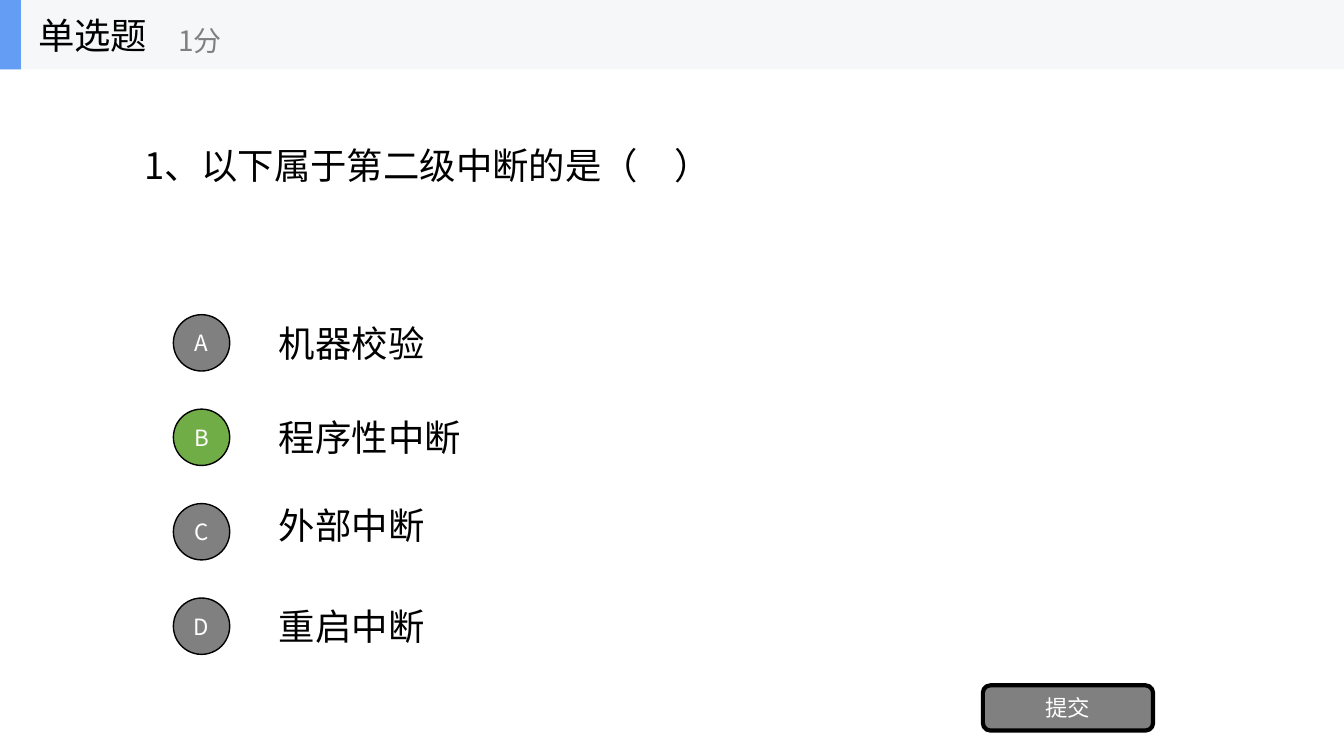
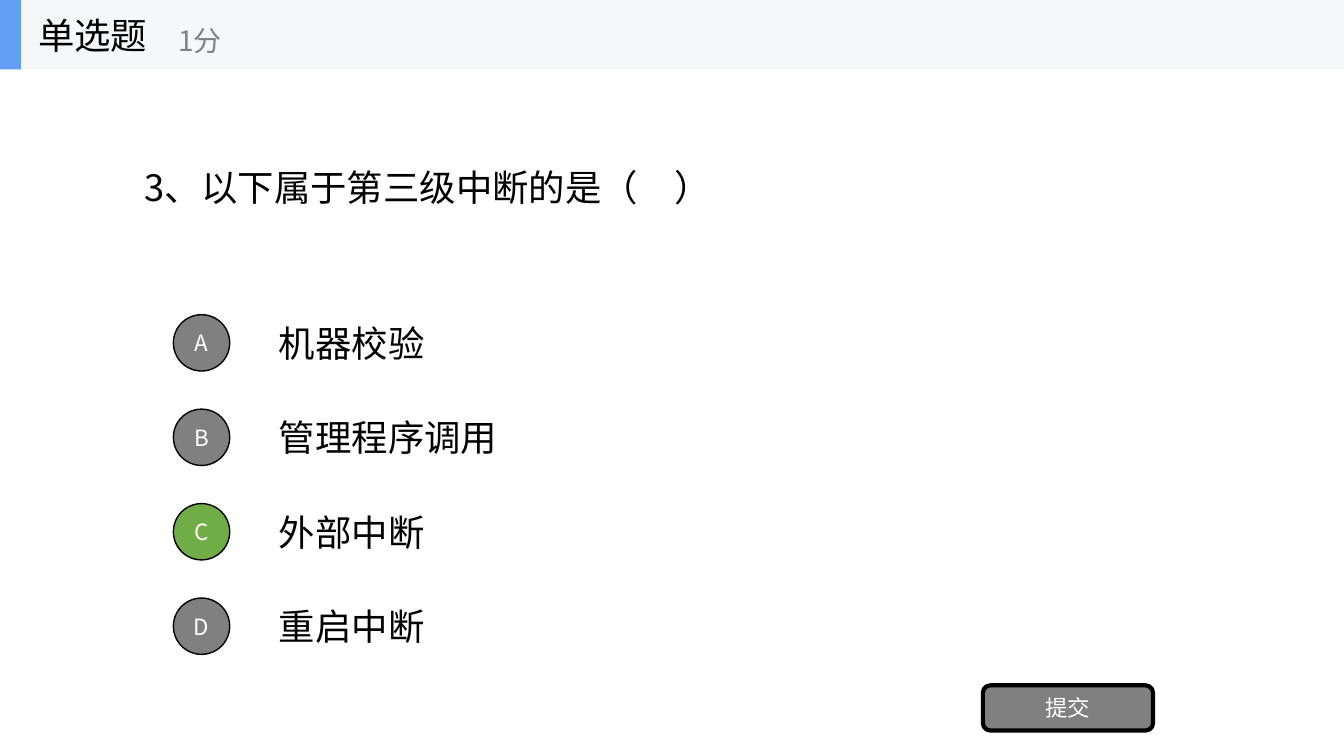
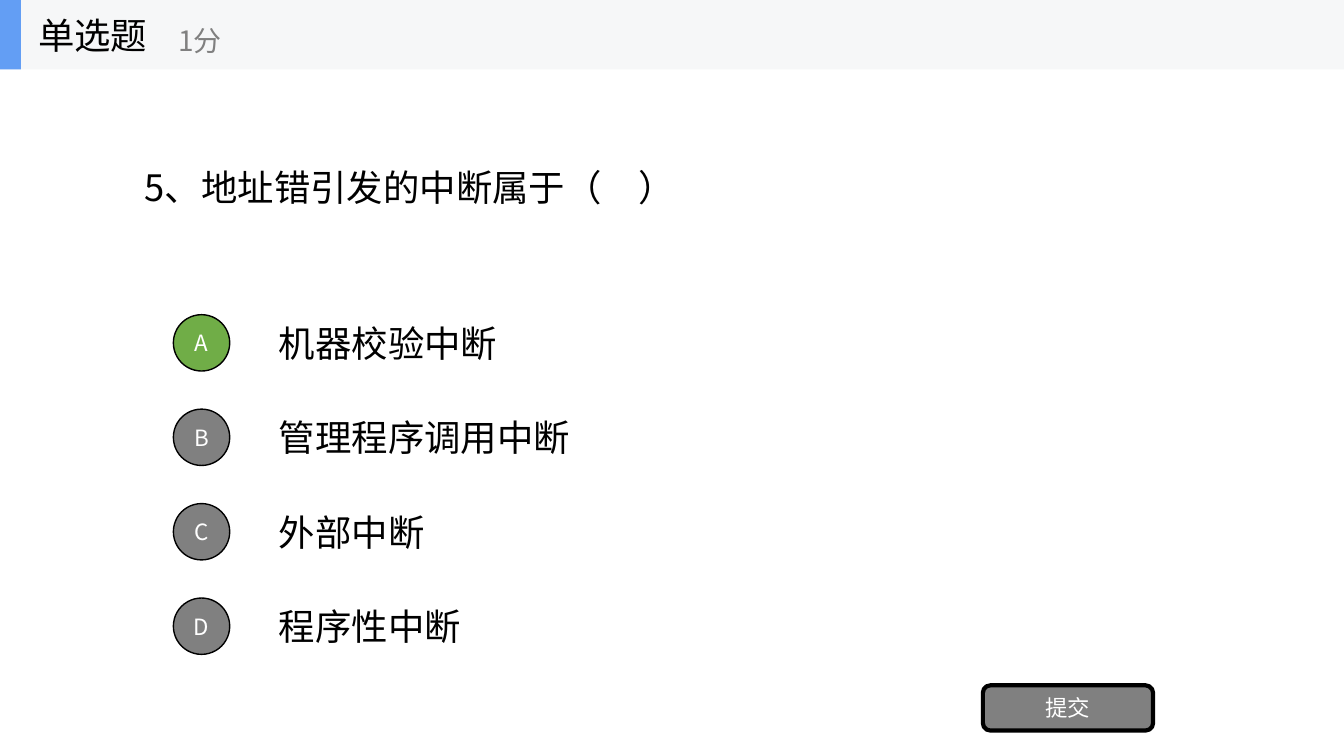
from dataclasses import dataclass

import pptx
import pptx.dml.color
import pptx.enum.shapes
import pptx.enum.text
import pptx.oxml.ns
import pptx.util
import lxml.etree

Cm = pptx.util.Cm
SHAPE = pptx.enum.shapes.MSO_SHAPE
ALIGN = pptx.enum.text.PP_ALIGN

FONT = "Noto Sans CJK SC"
BLACK = "000000"
WHITE = "FFFFFF"
GRAY = "808080"
GREEN = "70AD47"
BLUE = "639EF4"
PALE = "F6F7F8"

SLIDE_W, SLIDE_H = 33.87, 19.05
BAND_H = 1.75
OPTION_TOP, OPTION_H, OPTION_PITCH = 7.75, 1.78, 2.38
BADGE = 1.42


@dataclass(frozen=True)
class Box:
    left: float
    top: float
    width: float
    height: float

    def lengths(self) -> tuple:
        return Cm(self.left), Cm(self.top), Cm(self.width), Cm(self.height)


@dataclass(frozen=True)
class Option:
    text: str
    correct: bool = False
    shift: float = 0


@dataclass(frozen=True)
class Question:
    text: str
    options: tuple[Option, ...]
    bottom: float = 0.13


QUESTIONS = (
    Question(
        "1、以下属于第二级中断的是（　）",
        (
            Option("机器校验"),
            Option("程序性中断", correct=True),
            Option("外部中断", shift=-0.18),
            Option("重启中断"),
        ),
        bottom=1.24,
    ),
    Question(
        "3、以下属于第三级中断的是（　）",
        (
            Option("机器校验"),
            Option("管理程序调用"),
            Option("外部中断", correct=True),
            Option("重启中断"),
        ),
    ),
    Question(
        "5、地址错引发的中断属于（　）",
        (
            Option("机器校验中断", correct=True),
            Option("管理程序调用中断"),
            Option("外部中断"),
            Option("程序性中断"),
        ),
    ),
)


def rgb(value: str) -> pptx.dml.color.RGBColor:
    return pptx.dml.color.RGBColor.from_string(value)


def write(sp, text: str, *, size: float = 26, color: str = BLACK,
          align=ALIGN.LEFT, wrap: bool = True) -> None:
    tf = sp.text_frame
    tf.auto_size = pptx.enum.text.MSO_AUTO_SIZE.NONE
    tf.word_wrap = wrap
    tf.vertical_anchor = pptx.enum.text.MSO_ANCHOR.MIDDLE
    p = tf.paragraphs[0]
    p.alignment = align
    r = p.add_run()
    r.text = text
    r.font.size = pptx.util.Pt(size)
    r.font.name = FONT
    r.font.color.rgb = rgb(color)
    ea = lxml.etree.SubElement(r.font._element, pptx.oxml.ns.qn("a:ea"))
    ea.set("typeface", FONT)


def add_text(shapes, box: Box, text: str, **fmt) -> None:
    write(shapes.add_textbox(*box.lengths()), text, **fmt)


def add_shape(shapes, kind, box: Box, fill: str, line: float = 0):
    sp = shapes.add_shape(kind, *box.lengths())
    sp.shadow.inherit = False
    sp.fill.solid()
    sp.fill.fore_color.rgb = rgb(fill)
    if line:
        sp.line.color.rgb = rgb(BLACK)
        sp.line.width = pptx.util.Pt(line)
    else:
        sp.line.fill.background()
    return sp


def add_button(shapes, kind, box: Box, text: str, fill: str, line: float) -> None:
    sp = add_shape(shapes, kind, box, fill, line)
    tf = sp.text_frame
    tf.margin_left = tf.margin_right = tf.margin_top = tf.margin_bottom = 0
    write(sp, text, size=16, color=WHITE, align=ALIGN.CENTER)


def add_header(s) -> None:
    shapes = s.shapes.add_group_shape().shapes
    add_shape(shapes, SHAPE.RECTANGLE, Box(0, 0, SLIDE_W, BAND_H), PALE)
    add_shape(shapes, SHAPE.RECTANGLE, Box(0, 0, 0.53, BAND_H), BLUE)
    add_text(shapes, Box(0.71, 0, 5.28, BAND_H), "单选题", wrap=False)
    add_text(shapes, Box(4.24, 0.3, 6.35, 1.42), "1分", size=20, color=GRAY, wrap=False)


def add_title(s, question: Question) -> None:
    sp = s.shapes.title
    sp.left, sp.top, sp.width, sp.height = Box(3.39, BAND_H, 27.1, 5.94).lengths()
    write(sp, question.text)
    sp.text_frame.margin_bottom = Cm(question.bottom)


def add_option(s, index: int, option: Option) -> None:
    top = OPTION_TOP + index * OPTION_PITCH
    badge = Box(4.37, top + (OPTION_H - BADGE) / 2, BADGE, BADGE)
    add_text(s.shapes, Box(6.78, top + option.shift, 23.7, OPTION_H), option.text)
    add_button(s.shapes, SHAPE.OVAL, badge, "ABCD"[index],
               GREEN if option.correct else GRAY, 1)


def add_question(prs, question: Question) -> None:
    s = prs.slides.add_slide(prs.slide_layouts[5])
    s.background.fill.solid()
    s.background.fill.fore_color.rgb = rgb(WHITE)
    add_title(s, question)
    for index, option in enumerate(question.options):
        add_option(s, index, option)
    add_button(s.shapes, SHAPE.ROUNDED_RECTANGLE, Box(24.77, 17.27, 4.29, 1.14),
               "提交", GRAY, 3)
    add_header(s)


def main() -> None:
    prs = pptx.Presentation()
    prs.slide_width, prs.slide_height = Cm(SLIDE_W), Cm(SLIDE_H)
    for question in QUESTIONS:
        add_question(prs, question)
    prs.save("out.pptx")


if __name__ == "__main__":
    main()
